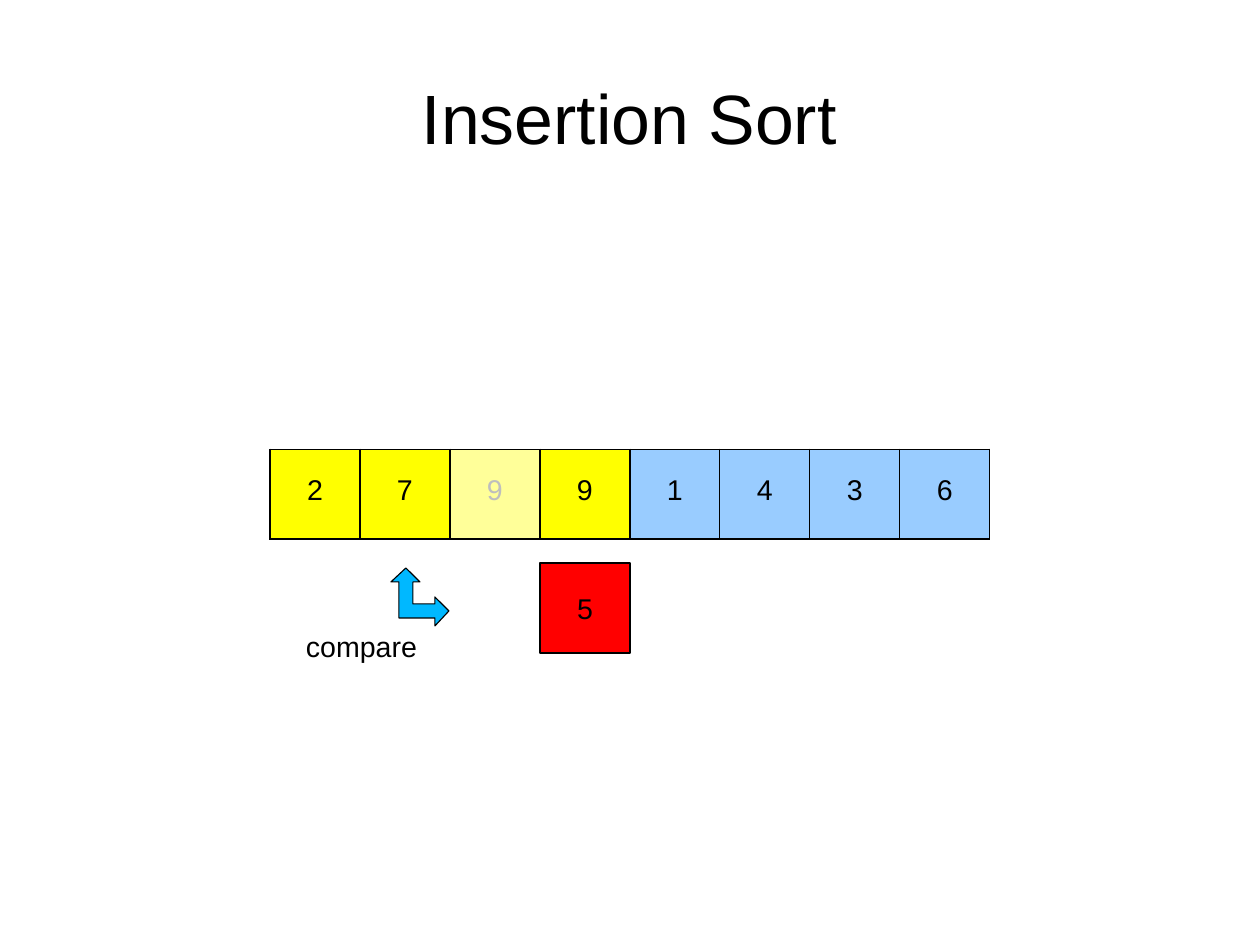
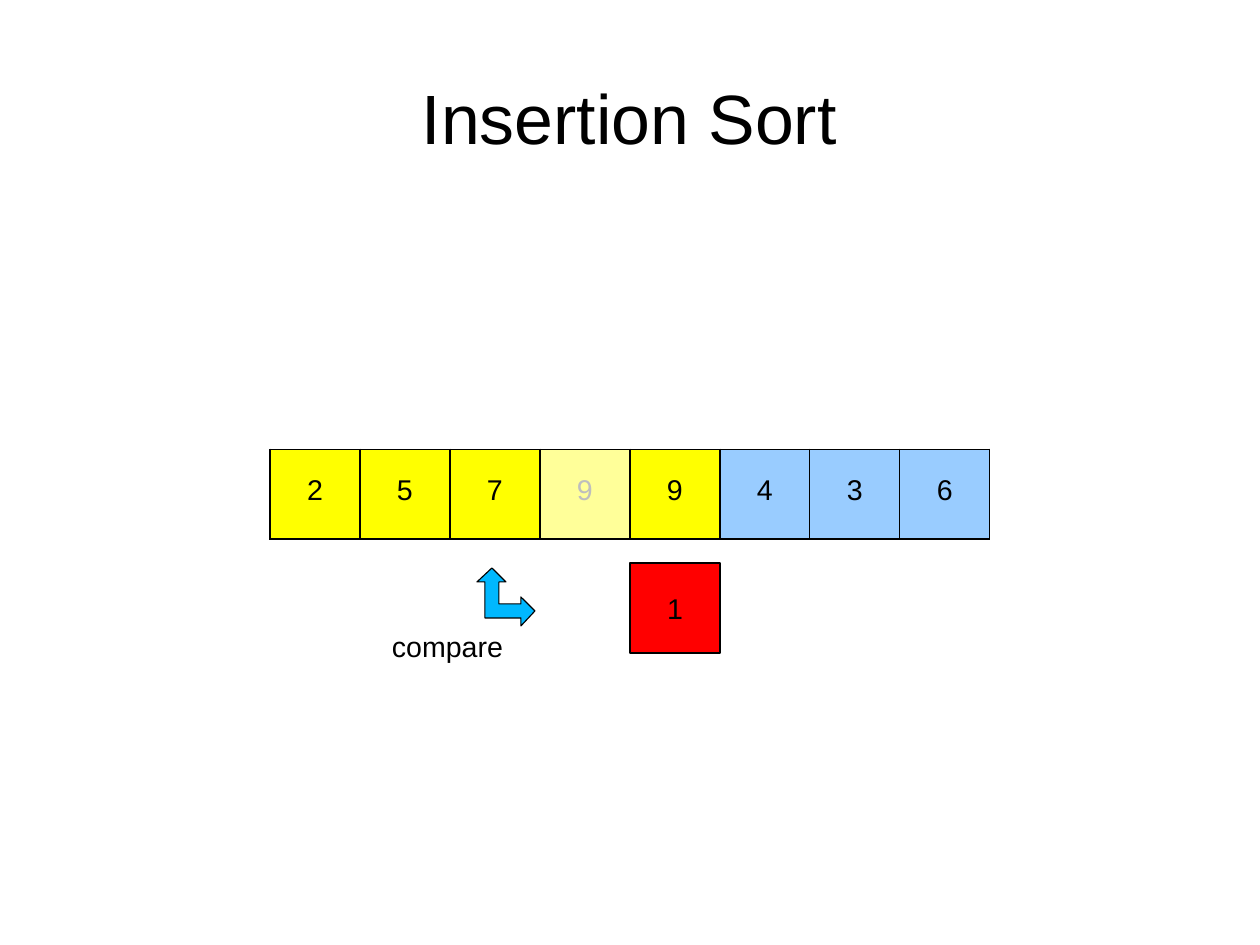
from lxml import etree
from pptx import Presentation
from pptx.dml.color import RGBColor
from pptx.enum.shapes import MSO_SHAPE
from pptx.enum.text import MSO_ANCHOR, MSO_AUTO_SIZE, PP_ALIGN
from pptx.oxml.ns import qn
from pptx.util import Pt

EMU_PER_PX = 8007
SLIDE_WIDTH, SLIDE_HEIGHT = 1260, 945
TITLE_ONLY = 5
RECTANGLE = MSO_SHAPE.RECTANGLE
TOP, BOTTOM = MSO_ANCHOR.TOP, MSO_ANCHOR.BOTTOM
NO_AUTOFIT = MSO_AUTO_SIZE.NONE
LEFT, CENTER = PP_ALIGN.LEFT, PP_ALIGN.CENTER

FONT = "Arial"
BLACK = RGBColor(0x00, 0x00, 0x00)
GREY = RGBColor(0xBE, 0xBE, 0xBE)
YELLOW = RGBColor(0xFF, 0xFF, 0x00)
LIGHT_BLUE = RGBColor(0x99, 0xCC, 0xFF)
ARROW_BLUE = RGBColor(0x00, 0xB8, 0xFF)
RED = RGBColor(0xFF, 0x00, 0x00)

TITLE_BOX = (420, 71, 419, 87)
CELL = 90
ARRAY_LEFT, ARRAY_TOP = 270, 449
KEY_TOP = 563
COMPARE_TOP = 568
ARROW_POINTS = [
    (15, 0), (29, 14), (22, 14), (22, 36), (44, 36), (44, 29),
    (58, 43), (44, 58), (44, 50), (8, 50), (8, 14), (0, 14),
]

STEPS = [
    {"values": "27991436", "hole": 2, "thick_edges": {2, 3},
     "key": "5", "compare_left": 306},
    {"values": "25799436", "hole": 3, "thick_edges": {3, 4, 5},
     "key": "1", "compare_left": 392},
]


def px(length):
    return length * EMU_PER_PX


def px_box(*lengths):
    return [px(length) for length in lengths]


def write(text_frame, text, size=18, color=BLACK, align=CENTER):
    paragraph = text_frame.paragraphs[0]
    paragraph.alignment = align
    run = paragraph.add_run()
    run.text = text
    run.font.name = FONT
    run.font.size = Pt(size)
    run.font.color.rgb = color


def set_frame(frame, anchor=TOP, top=0):
    frame.margin_left = frame.margin_right = frame.margin_bottom = 0
    frame.margin_top = px(top)
    frame.vertical_anchor = anchor


def style_shape(shape, fill, line_width):
    shape.shadow.inherit = False
    shape.fill.solid()
    shape.fill.fore_color.rgb = fill
    shape.line.color.rgb = BLACK
    shape.line.width = Pt(line_width)


def set_borders(cell, widths):
    properties = cell._tc.get_or_add_tcPr()
    for index, (side, width) in enumerate(widths.items()):
        line = etree.Element(qn(f"a:ln{side}"), w=str(Pt(width)))
        fill = etree.SubElement(line, qn("a:solidFill"))
        etree.SubElement(fill, qn("a:srgbClr"), val=str(BLACK))
        properties.insert(index, line)


def add_title(slide, box, text):
    title = slide.shapes.title
    title.left, title.top, title.width, title.height = px_box(*box)
    frame = title.text_frame
    frame.auto_size = NO_AUTOFIT
    frame.word_wrap = False
    set_frame(frame, anchor=BOTTOM)
    write(frame, text, size=44)


def add_array(slide, left, top, values, hole, thick_edges):
    count = len(values)
    table = slide.shapes.add_table(
        1, count, *px_box(left, top, CELL * count, CELL)).table
    table.first_row = table.horz_banding = False
    table.rows[0].height = px(CELL)
    for column, value in enumerate(values):
        table.columns[column].width = px(CELL)
        cell = table.cell(0, column)
        set_frame(cell, top=26)
        write(cell.text_frame, value, color=GREY if column == hole else BLACK)
        cell.fill.solid()
        cell.fill.fore_color.rgb = YELLOW if column <= hole + 1 else LIGHT_BLUE
        if column == hole:
            color = cell._tc.tcPr.find(f"{qn('a:solidFill')}/{qn('a:srgbClr')}")
            etree.SubElement(color, qn("a:alpha"), val="40000")
        left_width, right_width = [
            1.5 if edge in thick_edges else 1 for edge in (column, column + 1)]
        set_borders(cell, {"L": left_width, "R": right_width, "T": 0.75, "B": 0.75})


def add_key(slide, left, top, value):
    key = slide.shapes.add_shape(RECTANGLE, *px_box(left, top, CELL, CELL))
    style_shape(key, RED, 0.78)
    set_frame(key.text_frame, top=28)
    write(key.text_frame, value)


def add_compare(slide, left, top):
    points = [(left + 85 + x, top + y) for x, y in ARROW_POINTS]
    builder = slide.shapes.build_freeform(*points[0], scale=EMU_PER_PX)
    builder.add_line_segments(points[1:], close=True)
    style_shape(builder.convert_to_shape(), ARROW_BLUE, 0.72)
    label = slide.shapes.add_textbox(*px_box(left, top + 58, 114, 38))
    label.text_frame.word_wrap = True
    set_frame(label.text_frame, top=3)
    write(label.text_frame, "compare", align=LEFT)


def add_step(presentation, values, hole, thick_edges, key, compare_left):
    slide = presentation.slides.add_slide(presentation.slide_layouts[TITLE_ONLY])
    add_title(slide, TITLE_BOX, "Insertion Sort")
    add_array(slide, ARRAY_LEFT, ARRAY_TOP, values, hole, thick_edges)
    add_key(slide, ARRAY_LEFT + CELL * (hole + 1), KEY_TOP, key)
    add_compare(slide, compare_left, COMPARE_TOP)


def main():
    presentation = Presentation()
    presentation.slide_width = px(SLIDE_WIDTH)
    presentation.slide_height = px(SLIDE_HEIGHT)
    for step in STEPS:
        add_step(presentation, **step)
    presentation.save("out.pptx")


if __name__ == "__main__":
    main()
